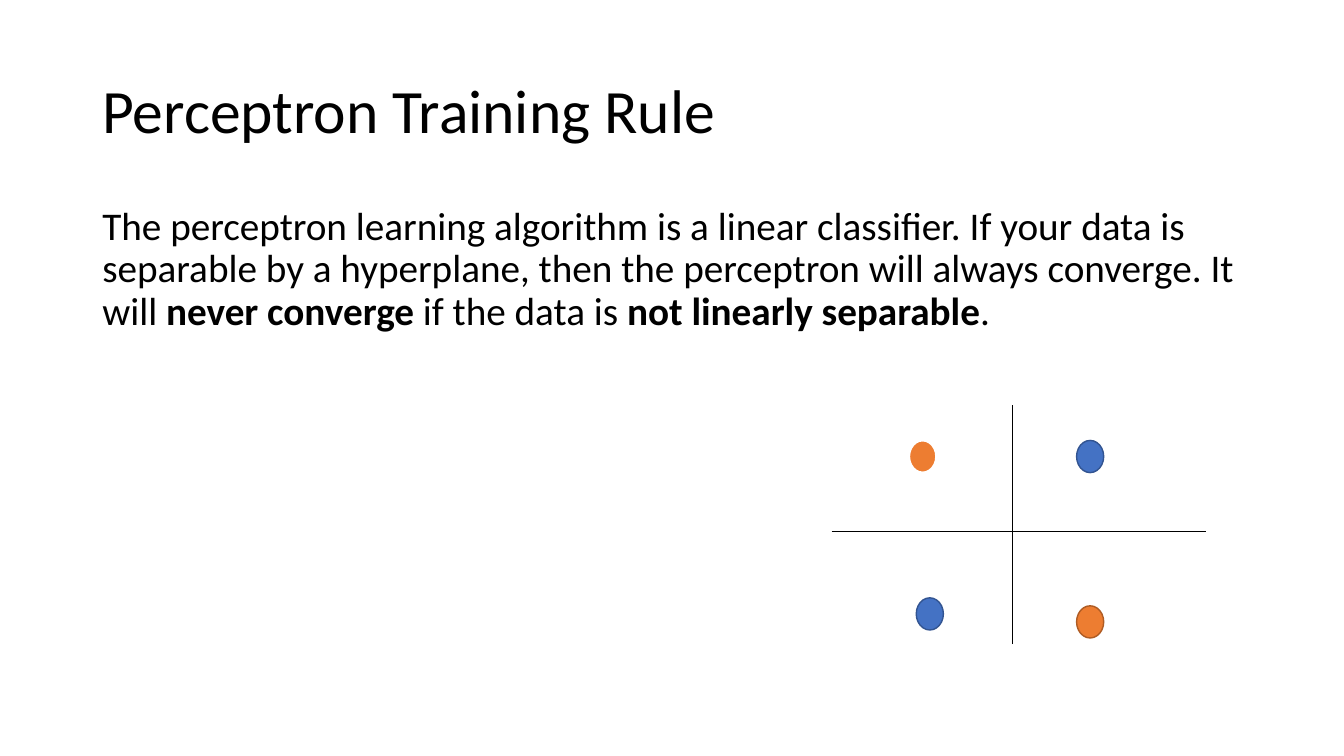
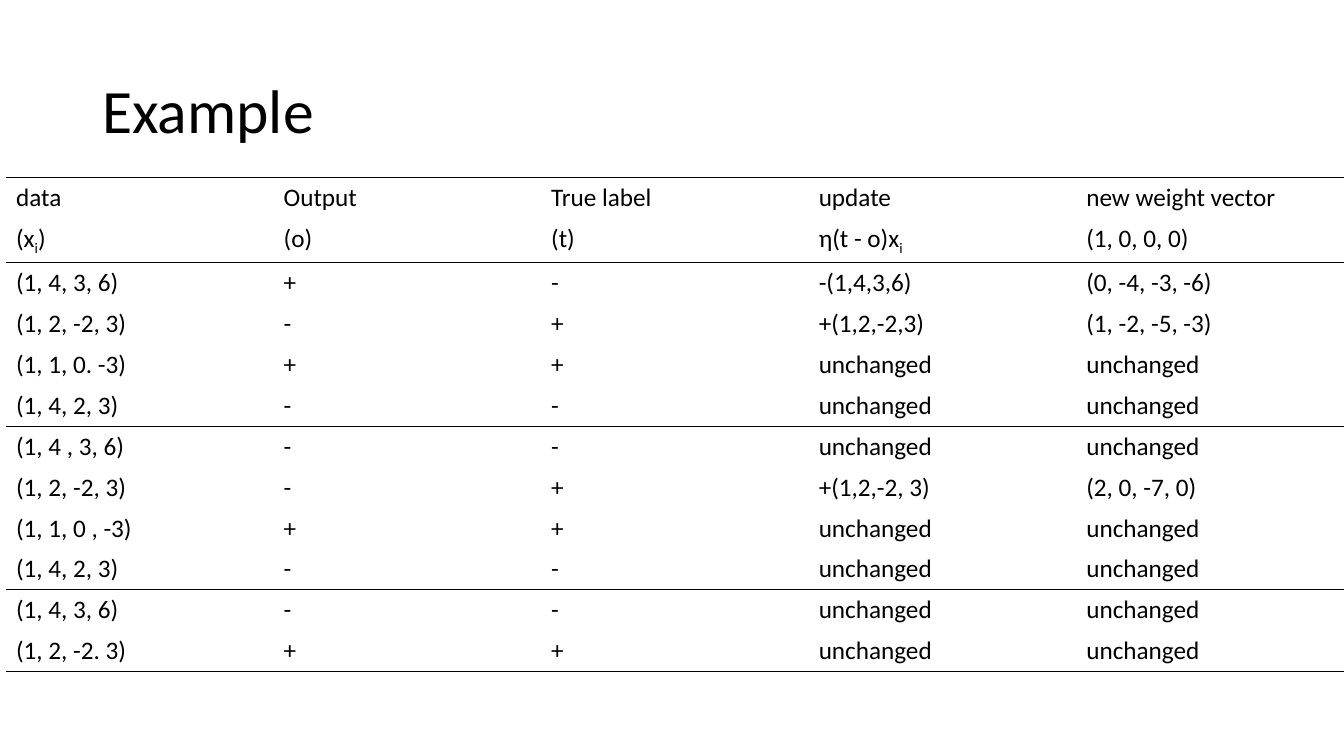
import pptx
import pptx.dml.color
import pptx.enum.shapes
import pptx.enum.text
import pptx.oxml
import pptx.oxml.ns
import pptx.presentation
import pptx.shapes.autoshape
import pptx.slide
import pptx.table
import pptx.text.text
import pptx.util
from typing import NamedTuple

Pt = pptx.util.Pt
FONT = "Calibri"
BLACK, WHITE = "000000", "FFFFFF"
BLUE, NAVY = "4472C4", "325491"
ORANGE, RUST = "ED7D31", "AF5C24"
PLAIN = "{2D5ABB26-0587-4C30-8999-92F81FD0307C}"


class Box(NamedTuple):
    left: float
    top: float
    width: float
    height: float


class Axis(NamedTuple):
    x1: float
    y1: float
    x2: float
    y2: float


class Dot(NamedTuple):
    left: float
    top: float
    fill: str
    edge: str
    weight: float


TITLE = Box(66, 28.8, 828, 104.4)
BODY = Box(66, 144, 838.8, 128.9)
GRID = Box(4.3, 126.7, 955.7, 350.4)
DOT_W, DOT_H = 19.4, 23

RULE = (
    "The perceptron learning algorithm is a linear classifier. If your data is "
    "separable by a hyperplane, then the perceptron will always converge. It will "
    "|never converge |if the data is |not linearly separable|."
)
AXES = [Axis(594, 379.4, 861.1, 379.4), Axis(722.9, 460.1, 722.9, 289.4)]
DOTS = [
    Dot(769, 314.6, BLUE, NAVY, 1),
    Dot(654.5, 427, BLUE, NAVY, 1),
    Dot(649.4, 314.6, ORANGE, WHITE, 1.5),
    Dot(769, 432.7, ORANGE, RUST, 1),
]
SAME = "unchanged"
ROWS = [
    ("data", "Output", "True label", "update", "new weight vector"),
    ("(x|i|)", "(o)", "(t)", "η(t - o)x|i", "(1, 0, 0, 0)"),
    ("(1, 4, 3, 6)", "+", "-", "-(1,4,3,6)", "(0, -4, -3, -6)"),
    ("(1, 2, -2, 3)", "-", "+", "+(1,2,-2,3)", "(1, -2, -5, -3)"),
    ("(1, 1, 0. -3)", "+", "+", SAME, SAME),
    ("(1, 4, 2, 3)", "-", "-", SAME, SAME),
    ("(1, 4 , 3, 6)", "-", "-", SAME, SAME),
    ("(1, 2, -2, 3)", "-", "+", "+(1,2,-2, 3)", "(2, 0, -7, 0)"),
    ("(1, 1, 0 , -3)", "+", "+", SAME, SAME),
    ("(1, 4, 2, 3)", "-", "-", SAME, SAME),
    ("(1, 4, 3, 6)", "-", "-", SAME, SAME),
    ("(1, 2, -2. 3)", "+", "+", SAME, SAME),
]
RULED = {1, 5, 9, 11}


def color(code: str) -> pptx.dml.color.RGBColor:
    return pptx.dml.color.RGBColor.from_string(code)


def points(box: tuple[float, ...]) -> list[pptx.util.Length]:
    return [Pt(value) for value in box]


def write(par: pptx.text.text._Paragraph, text: str, size: float, sub: bool = False) -> None:
    par.font.name = FONT
    par.font.size = Pt(size)
    par.font.color.rgb = color(BLACK)
    for index, part in enumerate(text.split("|")):
        run = par.add_run()
        run.text = part
        if index % 2 and sub:
            run.font._element.set("baseline", "-25000")
        elif index % 2:
            run.font.bold = True


def add_text(slide: pptx.slide.Slide, box: Box, text: str, size: float,
             anchor: pptx.enum.text.MSO_ANCHOR) -> None:
    frame = slide.shapes.add_textbox(*points(box)).text_frame
    frame.word_wrap = True
    frame.vertical_anchor = anchor
    par = frame.paragraphs[0]
    par.line_spacing = 0.9
    write(par, text, size)


def add_page(deck: pptx.presentation.Presentation, title: str) -> pptx.slide.Slide:
    slide = deck.slides.add_slide(deck.slide_layouts[6])
    add_text(slide, TITLE, title, 44, pptx.enum.text.MSO_ANCHOR.MIDDLE)
    return slide


def add_axis(slide: pptx.slide.Slide, axis: Axis) -> None:
    kind = pptx.enum.shapes.MSO_CONNECTOR.STRAIGHT
    line = slide.shapes.add_connector(kind, *points(axis))
    line.line.color.rgb = color(BLACK)
    line.line.width = Pt(0.5)
    props = line._element.spPr
    props.append(pptx.oxml.parse_xml(f'<a:effectLst {pptx.oxml.ns.nsdecls("a")}/>'))


def add_dot(slide: pptx.slide.Slide, dot: Dot) -> None:
    kind = pptx.enum.shapes.MSO_SHAPE.OVAL
    shape = slide.shapes.add_shape(kind, *points((dot.left, dot.top, DOT_W, DOT_H)))
    shape.shadow.inherit = False
    shape.fill.solid()
    shape.fill.fore_color.rgb = color(dot.fill)
    shape.line.color.rgb = color(dot.edge)
    shape.line.width = Pt(dot.weight)


def add_edge(cell: pptx.table._Cell, side: str) -> None:
    edge = pptx.oxml.parse_xml(
        f'<a:{side} {pptx.oxml.ns.nsdecls("a")} w="{Pt(1)}"><a:solidFill>'
        f'<a:srgbClr val="{BLACK}"/></a:solidFill></a:{side}>'
    )
    cell._tc.get_or_add_tcPr().insert(0, edge)


def add_grid(slide: pptx.slide.Slide) -> None:
    frame = slide.shapes.add_table(len(ROWS), len(ROWS[0]), *points(GRID))
    table = frame.table
    table.first_row = table.horz_banding = False
    table._tbl.tblPr.find(pptx.oxml.ns.qn("a:tableStyleId")).text = PLAIN
    for column in table.columns:
        column.width = Pt(GRID.width / len(ROWS[0]))
    for r, texts in enumerate(ROWS):
        table.rows[r].height = Pt(GRID.height / len(ROWS))
        for c, text in enumerate(texts):
            cell = table.cell(r, c)
            cell.fill.background()
            write(cell.text_frame.paragraphs[0], text, 18, sub=True)
            if r == 0:
                add_edge(cell, "lnT")
            if r in RULED:
                add_edge(cell, "lnB")


def main() -> None:
    deck = pptx.Presentation()
    deck.slide_width, deck.slide_height = Pt(960), Pt(540)

    slide = add_page(deck, "Perceptron Training Rule")
    add_text(slide, BODY, RULE, 28, pptx.enum.text.MSO_ANCHOR.TOP)
    for axis in AXES:
        add_axis(slide, axis)
    for dot in DOTS:
        add_dot(slide, dot)

    add_grid(add_page(deck, "Example"))
    deck.save("out.pptx")


if __name__ == "__main__":
    main()
